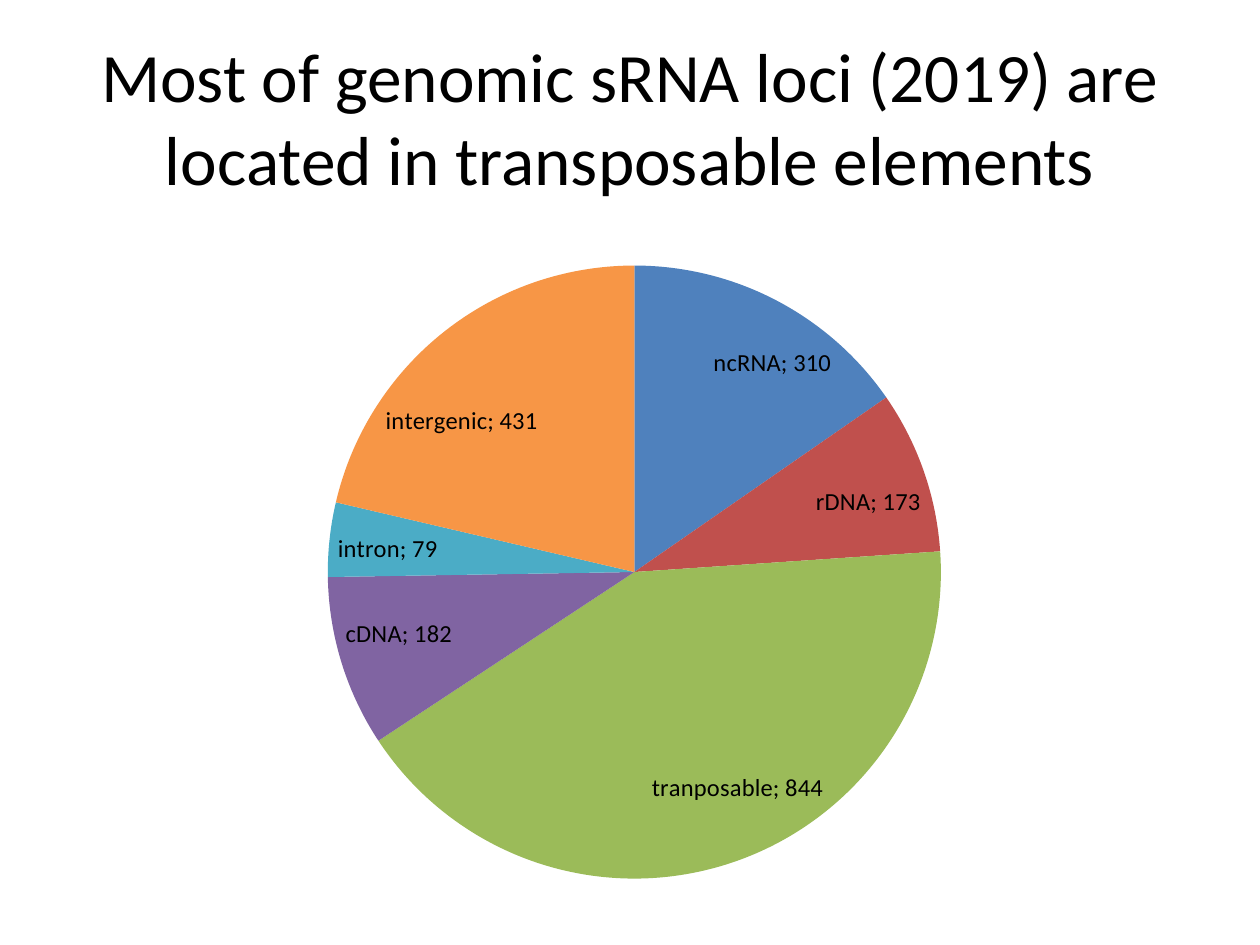
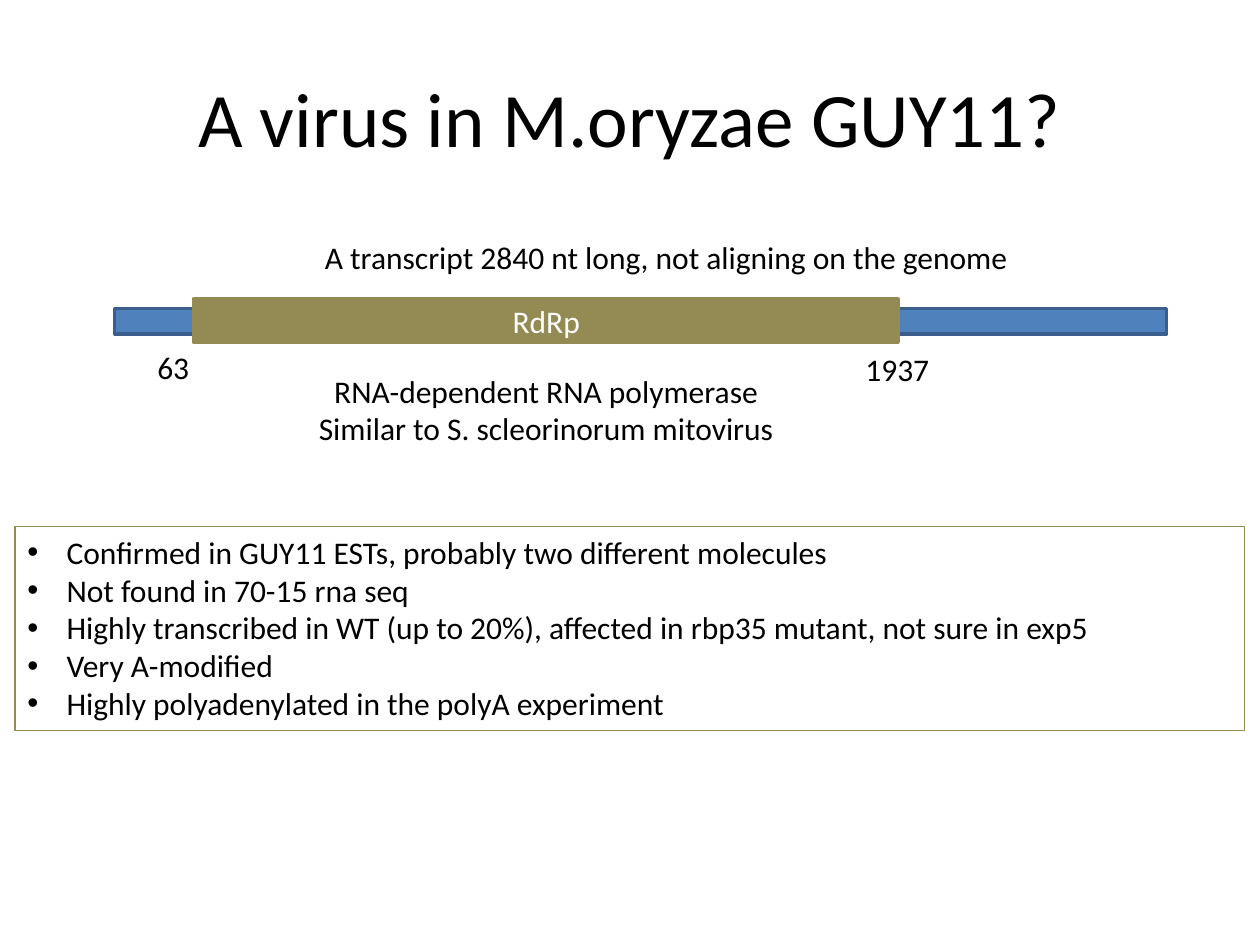
"""Build two slides on small RNA loci and a virus candidate in M.oryzae."""
from lxml import etree
from pptx import Presentation
from pptx.chart.data import CategoryChartData
from pptx.dml.color import RGBColor
from pptx.enum.chart import XL_CHART_TYPE, XL_LABEL_POSITION
from pptx.enum.shapes import MSO_SHAPE
from pptx.enum.text import MSO_ANCHOR, PP_ALIGN
from pptx.oxml.ns import qn
from pptx.util import Inches, Pt

PIE, BEST_FIT = XL_CHART_TYPE.PIE, XL_LABEL_POSITION.BEST_FIT
RECTANGLE = MSO_SHAPE.RECTANGLE
TOP, MIDDLE = MSO_ANCHOR.TOP, MSO_ANCHOR.MIDDLE
LEFT, CENTER = PP_ALIGN.LEFT, PP_ALIGN.CENTER
FONT, BLACK, WHITE = "Calibri", "000000", "FFFFFF"
BLUE, DARK_BLUE, OLIVE = "4F81BD", "3A5F8C", "948A54"
COLUMNS, ROWS = 100, 75

deck = Presentation()
deck.slide_width, deck.slide_height = Inches(10), Inches(7.5)
column, row = deck.slide_width / COLUMNS, deck.slide_height / ROWS
blank = deck.slide_layouts[6]


def color(hex_string):
    return RGBColor.from_string(hex_string)


def add_box(page, cells, lines=(), size=18, ink=BLACK, align=LEFT, anchor=TOP,
            wrap=True, fill=None, line=None, bullet=None):
    left, top, width, height = cells
    area = [round(n) for n in (left * column, top * row, width * column, height * row)]
    if fill or line:
        box = page.shapes.add_shape(RECTANGLE, *area)
        box.shadow.inherit = False
        if fill:
            box.fill.solid()
            box.fill.fore_color.rgb = color(fill)
        else:
            box.fill.background()
        box.line.color.rgb, box.line.width = color(line[0]), Pt(line[1])
    else:
        box = page.shapes.add_textbox(*area)
    frame = box.text_frame
    frame.word_wrap, frame.vertical_anchor = wrap, anchor
    for number, words in enumerate(lines):
        para = frame.paragraphs[0] if number == 0 else frame.add_paragraph()
        para.alignment = align
        if bullet:
            settings = para._p.get_or_add_pPr()
            indent = Inches(0.31)
            settings.set("marL", str(indent))
            settings.set("indent", str(-indent))
            etree.SubElement(settings, qn("a:buFont"), typeface="Arial")
            etree.SubElement(settings, qn("a:buChar"), char=bullet)
        span = para.add_run()
        span.text = words
        span.font.color.rgb = color(ink)
        for name, value in {"name": FONT, "size": Pt(size)}.items():
            setattr(span.font, name, value)


titles = {
    "Most of genomic sRNA loci (2019) are located in transposable elements": 39.6,
    "A virus in M.oryzae GUY11?": 44,
}
pages = []
for title, size in titles.items():
    page = deck.slides.add_slide(blank)
    add_box(page, (5, 3, 90, 12.5), [title], size, align=CENTER, anchor=MIDDLE)
    pages.append(page)
loci_page, virus_page = pages

loci = {
    "ncRNA": (310, BLUE),
    "rDNA": (173, "C0504D"),
    "tranposable": (844, "9BBB59"),
    "cDNA": (182, "8064A2"),
    "intron": (79, "4BACC6"),
    "intergenic": (431, "F79646"),
}
data = CategoryChartData()
data.categories = list(loci)
data.add_series("Series 1", [count for count, _ in loci.values()])
chart_area = [round(n) for n in (9.8 * column, 17.8 * row, 81.1 * column, 53.1 * row)]
chart = loci_page.shapes.add_chart(PIE, *chart_area, data).chart
chart.has_title = chart.has_legend = False
chart.font.name, chart.font.size = FONT, Pt(10)
chart.font.color.rgb = color(BLACK)

plot = chart.plots[0]
plot.vary_by_categories = True
for number, (_, shade) in enumerate(loci.values()):
    slice_fill = plot.series[0].points[number].format.fill
    slice_fill.solid()
    slice_fill.fore_color.rgb = color(shade)

plot.has_data_labels = True
labels = plot.data_labels
label_format = {
    "show_category_name": True,
    "show_value": True,
    "show_percentage": False,
    "position": BEST_FIT,
}
for name, value in label_format.items():
    setattr(labels, name, value)
labels.font.name, labels.font.size = FONT, Pt(14)
labels.font.color.rgb = color(BLACK)

plot_area = chart._chartSpace.find(".//" + qn("c:plotArea"))
for old_layout in plot_area.findall(qn("c:layout")):
    plot_area.remove(old_layout)
layout = etree.Element(qn("c:layout"))
manual = etree.SubElement(layout, qn("c:manualLayout"))
pie_layout = {"layoutTarget": "inner", "xMode": "edge", "yMode": "edge",
              "x": 0.2, "y": 0.06, "w": 0.6, "h": 0.92}
for name, value in pie_layout.items():
    etree.SubElement(manual, qn("c:" + name), val=str(value))
plot_area.insert(0, layout)

add_box(virus_page, (9.1, 24.5, 83.5, 2), fill=BLUE, line=(DARK_BLUE, 2))
add_box(virus_page, (15.4, 23.7, 55.9, 3.5), ["RdRp"], ink=WHITE, align=CENTER,
        anchor=MIDDLE, fill=OLIVE, line=(OLIVE, 2))

captions = [
    ((24.8, 18.4, 56.9, 4), LEFT, ["A transcript 2840 nt long, not aligning on the genome"]),
    ((24.1, 29, 38.5, 7.1), CENTER,
     ["RNA-dependent RNA polymerase", "Similar to S. scleorinorum mitovirus"]),
    ((11.5, 27.1, 4.6, 4), LEFT, ["63"]),
    ((67.7, 27.3, 7.1, 4), LEFT, ["1937"]),
]
for cells, align, lines in captions:
    add_box(virus_page, cells, lines, align=align, wrap=False)

findings = [
    "Confirmed in GUY11 ESTs, probably two different molecules",
    "Not found in 70-15 rna seq",
    "Highly transcribed in WT (up to 20%), affected in rbp35 mutant, not sure in exp5",
    "Very A-modified",
    "Highly polyadenylated in the polyA experiment",
]
add_box(virus_page, (1.2, 41.8, 97.6, 16.2), findings, line=(OLIVE, 0.75), bullet="•")

deck.save("out.pptx")
